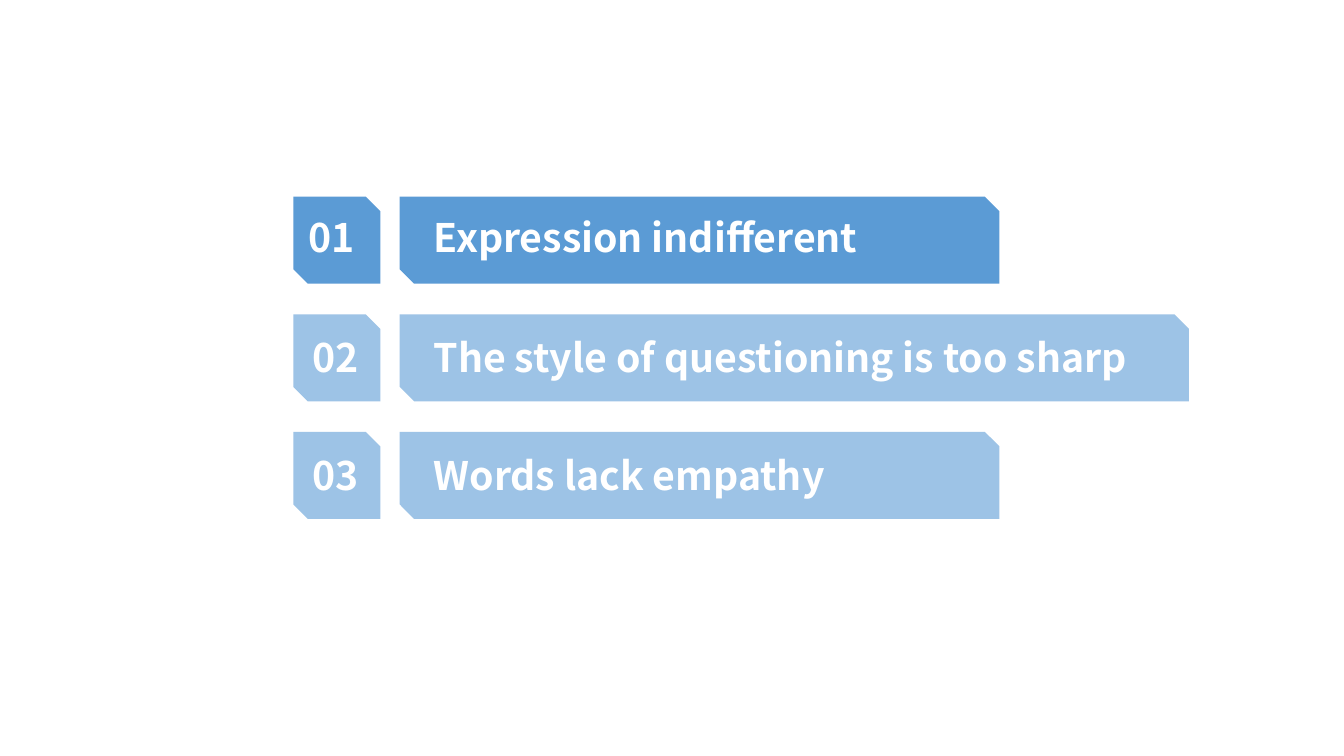
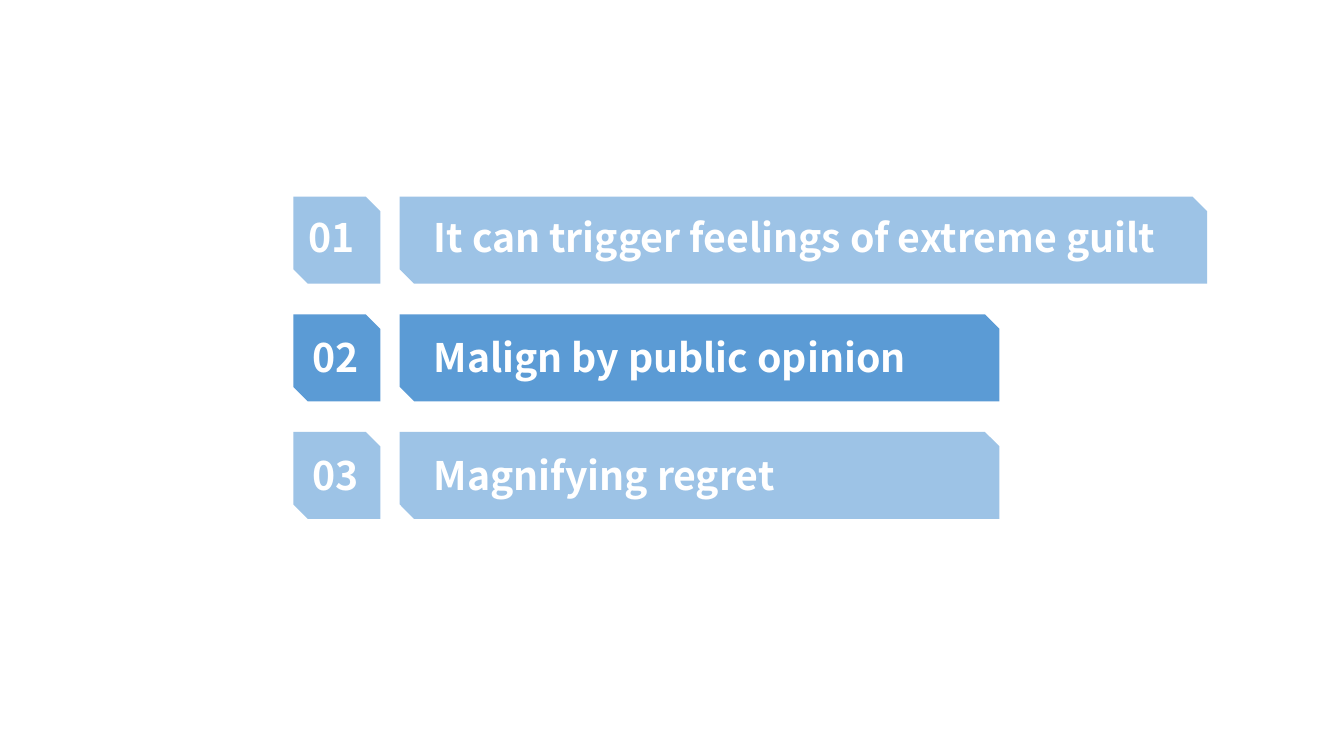
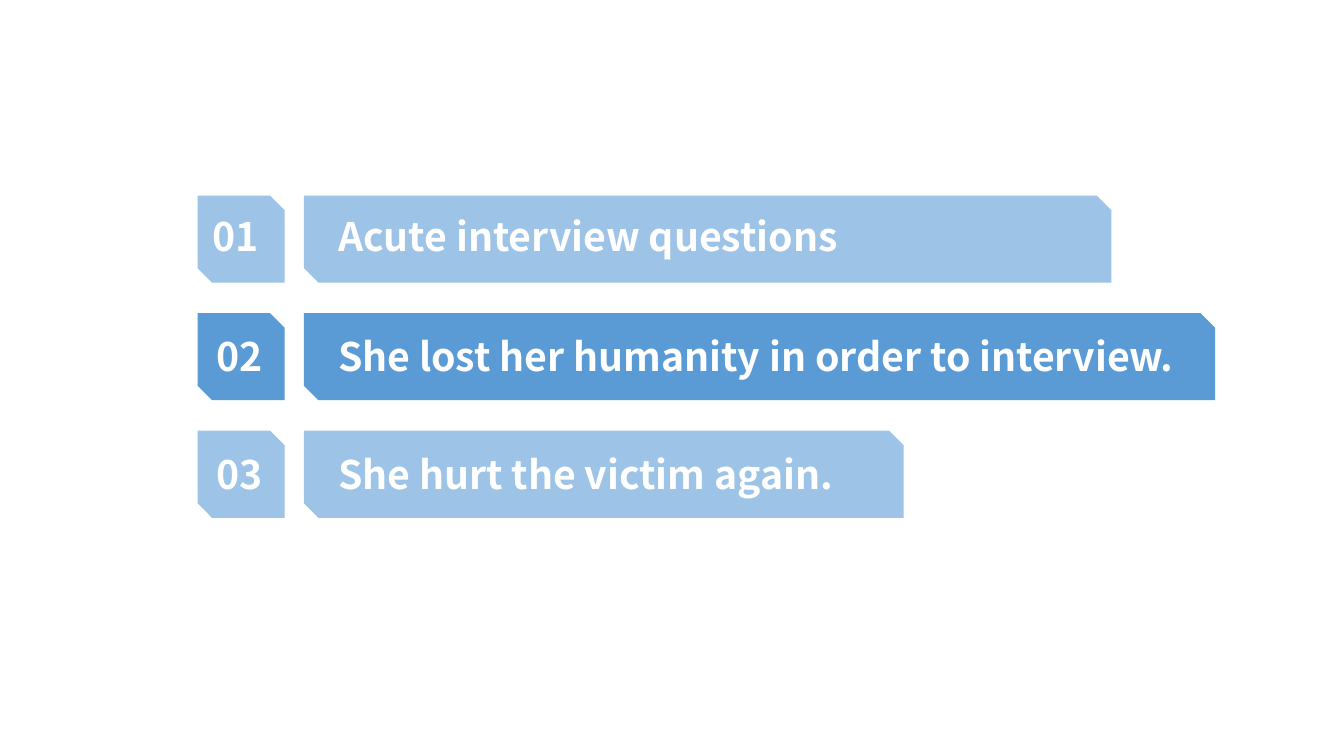
from pptx import Presentation
from pptx.dml.color import RGBColor
from pptx.enum.shapes import MSO_SHAPE
from pptx.enum.text import MSO_AUTO_SIZE
from pptx.util import Inches, Pt

SNIP = MSO_SHAPE.SNIP_2_DIAG_RECTANGLE
GROW = MSO_AUTO_SIZE.SHAPE_TO_FIT_TEXT
DARK = RGBColor(0x5B, 0x9B, 0xD5)
LIGHT = RGBColor(0x9D, 0xC3, 0xE6)
WHITE = RGBColor(0xFF, 0xFF, 0xFF)
FONT = "Noto Sans CJK SC"

COLS, ROWS = 160, 90
SIDE = 10.36
PITCH = 14
BAR_GAP = 12.66
TEXT_GAP = 2.88
TEXT_HIGH = 6.86
TAG_WIDE = 8.16
SHORT, LONG = 71.4, 96.12

SLIDES = [
    (34.92, 23.42, 0, [
        ("Expression indifferent", SHORT, 54),
        ("The style of questioning is too sharp", 93.96, 88.2),
        ("Words lack empathy", SHORT, 50.4),
    ]),
    (34.92, 23.42, 1, [
        ("It can trigger feelings of extreme guilt", LONG, 92.16),
        ("Malign by public opinion", SHORT, 61.2),
        ("Magnifying regret", SHORT, 45.36),
    ]),
    (23.52, 23.28, 1, [
        ("Acute interview questions", LONG, 63.6),
        ("She lost her humanity in order to interview.", 108.48, 104.88),
        ("She hurt the victim again.", SHORT, 62.88),
    ]),
]


def write(frame, text, size=28, color=WHITE, bold=True, font=FONT):
    frame.word_wrap = False
    frame.auto_size = GROW
    run = frame.paragraphs[0].add_run()
    run.text = text
    run.font.name = font
    run.font.size = Pt(size)
    run.font.bold = bold
    run.font.color.rgb = color


class Deck:
    def __init__(self):
        self.show = Presentation()
        self.show.slide_width = Inches(13.33)
        self.show.slide_height = Inches(7.5)
        self.slide = None

    def page(self):
        self.slide = self.show.slides.add_slide(self.show.slide_layouts[6])

    def place(self, left, top, wide, high):
        col = self.show.slide_width / COLS
        row = self.show.slide_height / ROWS
        return [round(n) for n in (left * col, top * row, wide * col, high * row)]

    def snip(self, left, top, wide, fill):
        shape = self.slide.shapes.add_shape(SNIP, *self.place(left, top, wide, SIDE))
        shape.shadow.inherit = False
        shape.fill.solid()
        shape.fill.fore_color.rgb = fill
        shape.line.fill.background()

    def label(self, left, top, wide, text):
        box = self.slide.shapes.add_textbox(*self.place(left, top, wide, TEXT_HIGH))
        write(box.text_frame, text)

    def item(self, left, top, index, fill, text, bar, wide):
        inset, drop = (0.6, 1.4) if index == 0 else (1.1, 1.72)
        edge = left + BAR_GAP
        self.snip(left, top, SIDE, fill)
        self.snip(edge, top, bar, fill)
        self.label(left + inset, top + drop, TAG_WIDE, f"{index + 1:02}")
        self.label(edge + TEXT_GAP, top + drop, wide, text)


def main():
    deck = Deck()
    for left, top, focus, items in SLIDES:
        deck.page()
        for index, item in enumerate(items):
            fill = DARK if index == focus else LIGHT
            deck.item(left, top + index * PITCH, index, fill, *item)
    deck.show.save("out.pptx")


if __name__ == "__main__":
    main()
